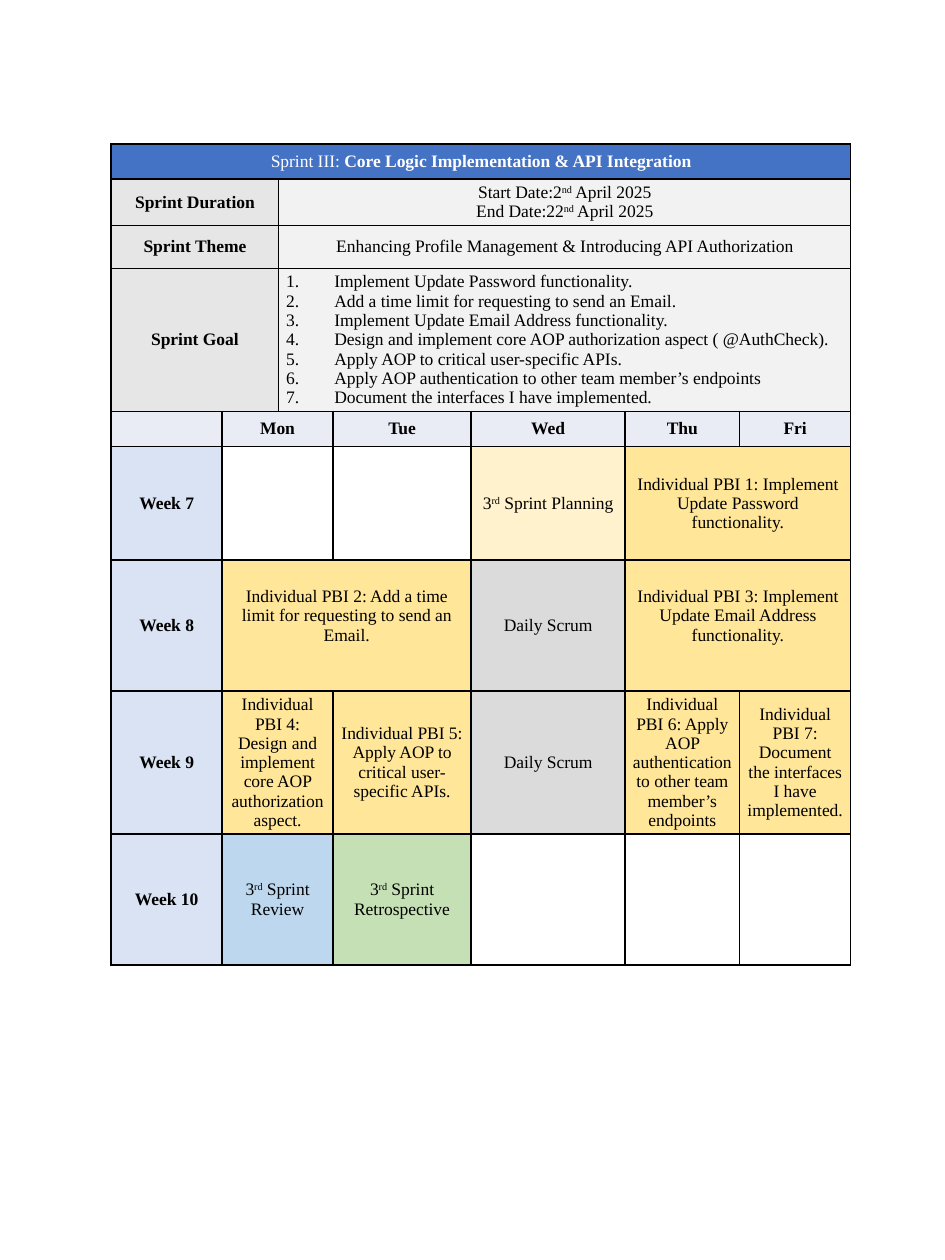
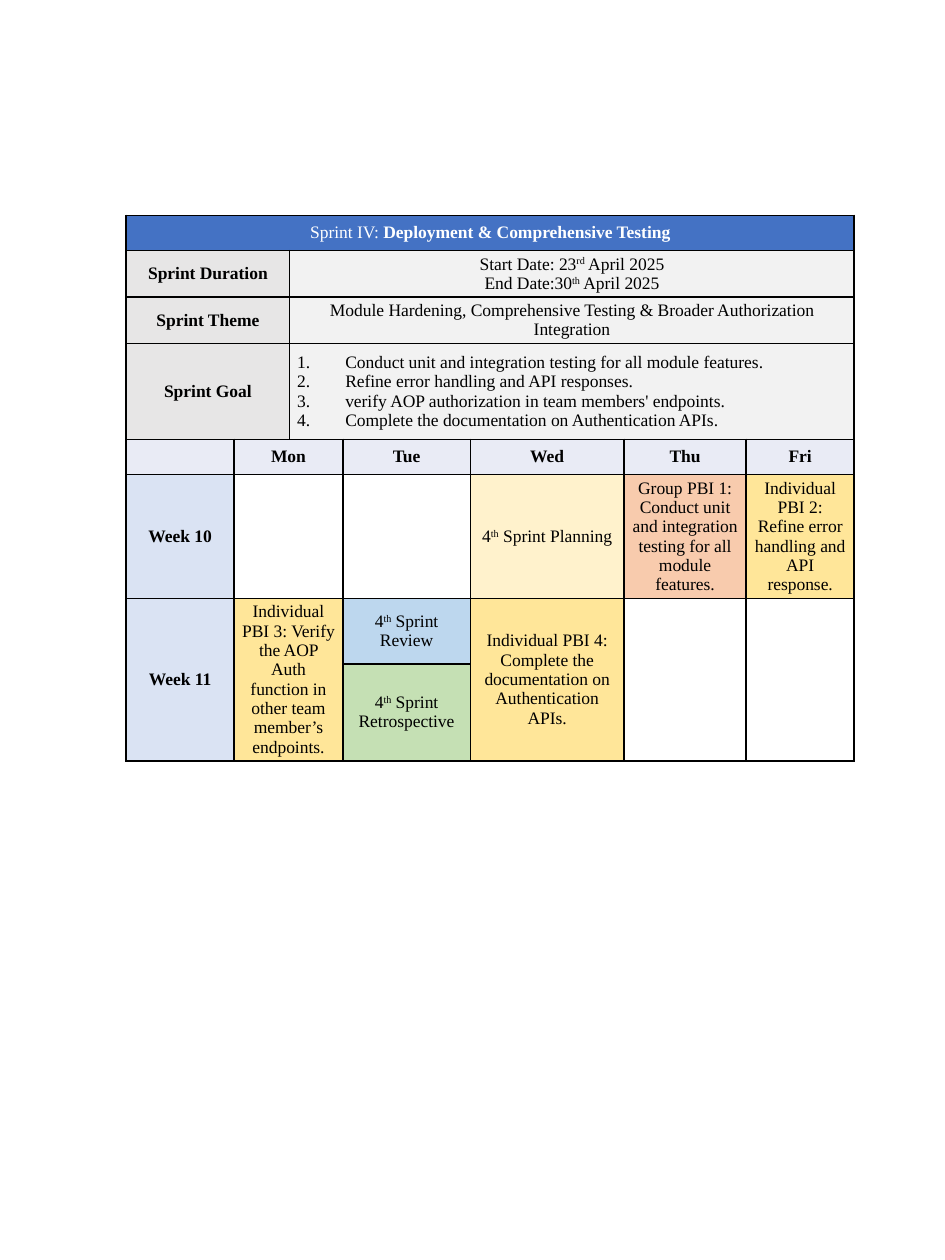
from lxml.etree import SubElement
from pptx import Presentation
from pptx.dml.color import RGBColor
from pptx.enum.text import MSO_ANCHOR, PP_ALIGN
from pptx.oxml import parse_xml
from pptx.oxml.ns import nsdecls, qn
from pptx.util import Cm, Pt

FONT, SIZE = "Times New Roman", Pt(10)
BLACK, WHITE = "000000", "FFFFFF"
TITLE, LABEL, DETAIL, DAY, WEEK = "4472C4", "E7E6E6", "F2F2F2", "E9EBF5", "DAE3F3"
PLANNING, SCRUM, REVIEW, RETRO = "FFF2CC", "DBDBDB", "BDD7EE", "C5E0B4"
OWN, GROUP = "FFE699", "F8CBAD"

# First and last table column of each day
DAYS = {"Mon": (1, 2), "Tue": (3, 3), "Wed": (4, 4), "Thu": (5, 5), "Fri": (6, 6)}
HEAD_ROWS = [0.71, 0.86, 0.86, 1.93, 0.71]
INDENT = Cm(0.97)

# Text between ^ marks is superscript.
# weeks: (row, rows, label); tasks: (row, rows, first day, last day, fill, text)
SPRINTS = [
    {
        "left": 2.24, "top": 2.9,
        "cols": [2.24, 1.14, 1.09, 2.79, 3.1, 2.31, 2.24],
        "week_rows": [2.29, 2.64, 2.64, 2.64],
        "number": "Sprint III: ",
        "name": "Core Logic Implementation & API Integration",
        "dates": ["Start Date:2^nd^ April 2025", "End Date:22^nd^ April 2025"],
        "theme": "Enhancing Profile Management & Introducing API Authorization",
        "goals": [
            "Implement Update Password functionality.",
            "Add a time limit for requesting to send an Email.",
            "Implement Update Email Address functionality.",
            "Design and implement core AOP authorization aspect ( @AuthCheck).",
            "Apply AOP to critical user-specific APIs.",
            "Apply AOP authentication to other team member’s endpoints",
            "Document the interfaces I have implemented.",
        ],
        "weeks": [(5, 1, "Week 7"), (6, 1, "Week 8"), (7, 1, "Week 9"), (8, 1, "Week 10")],
        "tasks": [
            (5, 1, "Mon", "Mon", WHITE, ""),
            (5, 1, "Wed", "Wed", PLANNING, "3^rd^ Sprint Planning"),
            (5, 1, "Thu", "Fri", OWN,
             "Individual PBI 1: Implement Update Password functionality."),
            (6, 1, "Mon", "Tue", OWN,
             "Individual PBI 2: Add a time limit for requesting to send an Email."),
            (6, 1, "Wed", "Wed", SCRUM, "Daily Scrum"),
            (6, 1, "Thu", "Fri", OWN,
             "Individual PBI 3: Implement Update Email Address functionality."),
            (7, 1, "Mon", "Mon", OWN,
             "Individual PBI 4: Design and implement core AOP authorization aspect."),
            (7, 1, "Tue", "Tue", OWN,
             "Individual PBI 5: Apply AOP to critical user-specific APIs."),
            (7, 1, "Wed", "Wed", SCRUM, "Daily Scrum"),
            (7, 1, "Thu", "Thu", OWN,
             "Individual PBI 6: Apply AOP authentication to other team member’s endpoints"),
            (7, 1, "Fri", "Fri", OWN,
             "Individual PBI 7: Document the interfaces I have implemented."),
            (8, 1, "Mon", "Mon", REVIEW, "3^rd^ Sprint Review"),
            (8, 1, "Tue", "Tue", RETRO, "3^rd^ Sprint Retrospective"),
        ],
        "raised": [(6, 1), (6, 5)],
    },
    {
        "left": 2.54, "top": 4.34,
        "cols": [2.18, 1.12, 1.07, 2.57, 3.1, 2.46, 2.18],
        "week_rows": [2.29, 1.32, 1.32],
        "number": "Sprint IV: ",
        "name": "Deployment & Comprehensive Testing",
        "dates": ["Start Date: 23^rd^ April 2025", "End Date:30^th^ April 2025"],
        "theme": "Module Hardening, Comprehensive Testing & Broader Authorization Integration",
        "goals": [
            "Conduct unit and integration testing for all module features.",
            "Refine error handling and API responses.",
            "verify AOP authorization in team members' endpoints.",
            "Complete the documentation on Authentication APIs.",
        ],
        "weeks": [(5, 1, "Week 10"), (6, 2, "Week 11")],
        "tasks": [
            (5, 1, "Mon", "Mon", WHITE, ""),
            (5, 1, "Wed", "Wed", PLANNING, "4^th^ Sprint Planning"),
            (5, 1, "Thu", "Thu", GROUP,
             "Group PBI 1: Conduct unit and integration testing for all module features."),
            (5, 1, "Fri", "Fri", OWN,
             "Individual PBI 2: Refine error handling and API response."),
            (6, 2, "Mon", "Mon", OWN,
             "Individual PBI 3: Verify the AOP Auth function in other team member’s endpoints."),
            (6, 1, "Tue", "Tue", REVIEW, "4^th^ Sprint Review"),
            (7, 1, "Tue", "Tue", RETRO, "4^th^ Sprint Retrospective"),
            (6, 2, "Wed", "Wed", OWN,
             "Individual PBI 4: Complete the documentation on Authentication APIs."),
            (6, 2, "Thu", "Thu", WHITE, ""),
            (6, 2, "Fri", "Fri", WHITE, ""),
        ],
        "raised": [],
    },
]


def add_runs(p, text, bold=False, color=BLACK):
    """Add text to a paragraph, with the parts between ^ marks raised."""
    for i, part in enumerate(text.split("^")):
        if not part:
            continue
        r = p.add_run()
        r.text = part
        r.font.name, r.font.size, r.font.bold = FONT, SIZE, bold
        r.font.color.rgb = RGBColor.from_string(color)
        if i % 2:
            r.font._element.set("baseline", "30000")


def fill_block(table, row, col, last_row, last_col, fill, lines, bold=False):
    """Merge a block of cells, fill it and write one paragraph per line."""
    cell = table.cell(row, col)
    if (row, col) != (last_row, last_col):
        cell.merge(table.cell(last_row, last_col))
    cell.fill.solid()
    cell.fill.fore_color.rgb = RGBColor.from_string(fill)
    tf = cell.text_frame
    for i, line in enumerate(lines):
        p = tf.add_paragraph() if i else tf.paragraphs[0]
        p.alignment = PP_ALIGN.CENTER
        add_runs(p, line, bold)
    return tf


prs = Presentation()
prs.slide_width, prs.slide_height = Cm(19.05), Cm(25.4)

for sprint in SPRINTS:
    s = prs.slides.add_slide(prs.slide_layouts[6])
    cols, rows = sprint["cols"], HEAD_ROWS + sprint["week_rows"]
    table = s.shapes.add_table(len(rows), len(cols), Cm(sprint["left"]), Cm(sprint["top"]),
                               Cm(sum(cols)), Cm(sum(rows))).table
    table.first_row = table.horz_banding = False
    for column, width in zip(table.columns, cols):
        column.width = Cm(width)
    for table_row, height in zip(table.rows, rows):
        table_row.height = Cm(height)

    # Black grid on white, with small type in cells that stay empty
    for cell in table.iter_cells():
        cell.margin_left = cell.margin_right = Cm(0.15)
        cell.margin_top = cell.margin_bottom = Cm(0.08)
        cell.vertical_anchor = MSO_ANCHOR.MIDDLE
        for side in ("lnL", "lnR", "lnT", "lnB"):
            cell._tc.tcPr.append(parse_xml(
                f'<a:{side} {nsdecls("a")} w="12700"><a:solidFill>'
                f'<a:srgbClr val="{BLACK}"/></a:solidFill></a:{side}>'))
        cell.fill.solid()
        cell.fill.fore_color.rgb = RGBColor.from_string(WHITE)
        end = SubElement(cell.text_frame.paragraphs[0]._p, qn("a:endParaRPr"))
        end.set("sz", str(int(SIZE.pt * 100)))

    # Title and sprint facts
    tf = fill_block(table, 0, 0, 0, 6, TITLE, [""])
    add_runs(tf.paragraphs[0], sprint["number"], color=WHITE)
    add_runs(tf.paragraphs[0], sprint["name"], bold=True, color=WHITE)
    facts = [("Sprint Duration", sprint["dates"]), ("Sprint Theme", [sprint["theme"]]),
             ("Sprint Goal", sprint["goals"])]
    for row, (label, lines) in enumerate(facts, start=1):
        fill_block(table, row, 0, row, 1, LABEL, [label], bold=True)
        tf = fill_block(table, row, 2, row, 6, DETAIL, lines)
    for p in tf.paragraphs:
        p.alignment = PP_ALIGN.LEFT
        pPr = p._p.get_or_add_pPr()
        pPr.set("marL", str(INDENT))
        pPr.set("indent", str(-INDENT))
        SubElement(pPr, qn("a:buFont")).set("typeface", "+mj-lt")
        SubElement(pPr, qn("a:buAutoNum")).set("type", "arabicPeriod")

    # Calendar
    fill_block(table, 4, 0, 4, 0, DAY, [])
    for day, (first, last) in DAYS.items():
        fill_block(table, 4, first, 4, last, DAY, [day], bold=True)
    for row, span, label in sprint["weeks"]:
        fill_block(table, row, 0, row + span - 1, 0, WEEK, [label], bold=True)
    for row, span, start, end, fill, text in sprint["tasks"]:
        fill_block(table, row, DAYS[start][0], row + span - 1, DAYS[end][1], fill, [text])
    for row, col in sprint["raised"]:
        table.cell(row, col).margin_bottom = Cm(0.47)

prs.save("out.pptx")
